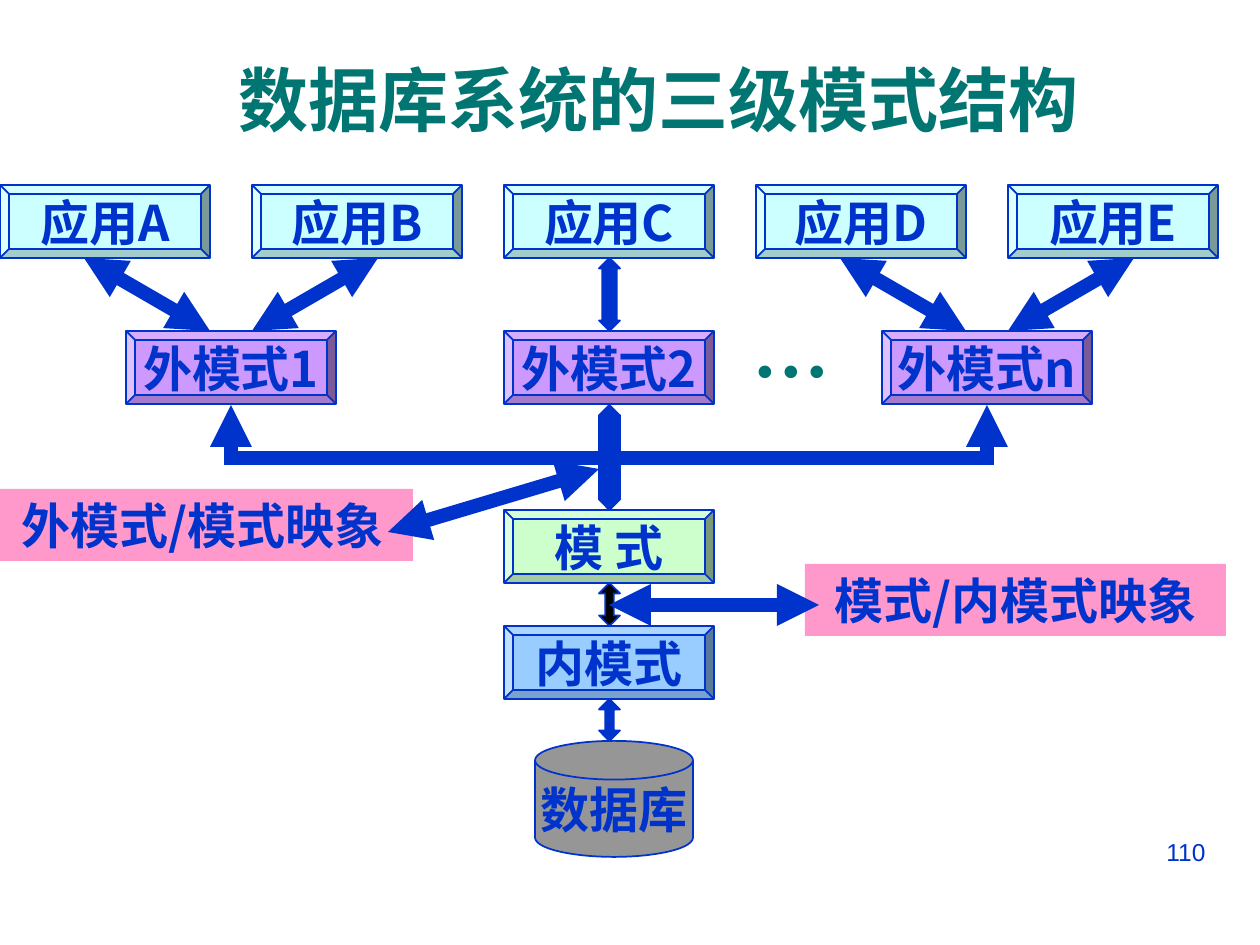
from lxml.etree import SubElement
from pptx import Presentation
from pptx.dml.color import RGBColor
from pptx.enum.shapes import MSO_CONNECTOR, MSO_SHAPE
from pptx.enum.text import MSO_ANCHOR, PP_ALIGN
from pptx.oxml.ns import qn
from pptx.util import Pt

EMU_PER_PX = 914400 // 126
BLUE, TEAL, PINK, BLACK = "0033CC", "007572", "FF99CC", "000000"
CJK = "Noto Sans CJK SC"
BOX_W, BOX_H, COLUMN_STEP = 210, 73, 252
AXIS = 609  # x of the central chain
APP_Y, EXTERNAL_Y, BUS_Y = 185, 331, 458


def px(length):
    return length * EMU_PER_PX


def color(code):
    return RGBColor.from_string(code)


def write(shape, words, size, font=CJK, ink=BLUE, bold=True,
          align=PP_ALIGN.CENTER, wrap=False):
    frame = shape.text_frame
    frame.text = words
    frame.word_wrap = wrap
    frame.vertical_anchor = MSO_ANCHOR.MIDDLE
    paragraph = frame.paragraphs[0]
    paragraph.alignment = align
    for run in paragraph.runs:
        run.font.size = Pt(size)
        run.font.bold = bold
        run.font.name = font
        run.font.color.rgb = color(ink)
        properties = run._r.get_or_add_rPr()
        properties.set("lang", "zh-CN")
        east_asian = SubElement(properties, qn("a:ea"))
        east_asian.set("typeface", CJK)


def add_label(slide, box, words, size, **style):
    label = slide.shapes.add_textbox(*map(px, box))
    write(label, words, size, **style)


def add_block(slide, kind, box, fill, outlined=True):
    block = slide.shapes.add_shape(kind, *map(px, box))
    block.shadow.inherit = False
    block.fill.solid()
    block.fill.fore_color.rgb = color(fill)
    if outlined:
        block.line.color.rgb = color(BLUE)
        block.line.width = Pt(1)
    else:
        block.line.fill.background()
    return block


def add_level(slide, x, y, words, fill):
    level = add_block(slide, MSO_SHAPE.BEVEL, (x, y, BOX_W, BOX_H), fill)
    write(level, words, 28)


def add_axis_arrow(slide, top, bottom, head, fill=BLUE):
    """Block arrow on the central axis; head is its length over its width."""
    width = 21
    arrow = add_block(slide, MSO_SHAPE.UP_DOWN_ARROW,
                      (AXIS - width // 2, top, width, bottom - top), fill)
    arrow.adjustments[0] = 0.5
    arrow.adjustments[1] = head


def add_line(slide, start, end, heads=(), square=False):
    """Thick line; heads lists the ends with an arrowhead."""
    line = slide.shapes.add_connector(
        MSO_CONNECTOR.STRAIGHT, *map(px, (*start, *end)))
    line.line.color.rgb = color(BLUE)
    line.line.width = Pt(8)
    outline = line.line._get_or_add_ln()
    if square:
        outline.set("cap", "sq")
    for head in heads:
        SubElement(outline, qn(f"a:{head}")).set("type", "triangle")
    SubElement(line._element.spPr, qn("a:effectLst"))


def add_applications(slide, x, y):
    for column, letter in enumerate("ABCDE"):
        add_level(slide, x + column * COLUMN_STEP, y, f"应用{letter}", "CCFFFF")


def add_external_schemas(slide, x, y):
    """External schemas, the links up to applications and the bus below."""
    for column, suffix in ((0, "1"), (1.5, "2"), (3, "n")):
        add_level(slide, x + int(column * COLUMN_STEP), y,
                  f"外模式{suffix}", "CC99FF")
    app_bottom = APP_Y + BOX_H
    for left in (x, x + 3 * COLUMN_STEP):
        middle = left + BOX_W // 2
        for side in (-1, 1):
            add_line(slide, (middle + side * 21, y),
                     (middle + side * 147, app_bottom), ("headEnd", "tailEnd"))
        add_line(slide, (middle, BUS_Y), (middle, y + BOX_H + 1),
                 ("tailEnd",), square=True)
        add_line(slide, (middle, BUS_Y), (AXIS, BUS_Y), square=True)
    add_axis_arrow(slide, app_bottom, y, 0.7)


def add_central_chain(slide, y):
    """Schema, internal schema and database, joined along the axis."""
    x = AXIS - BOX_W // 2
    internal_y, database_y = y + 116, y + 231
    add_level(slide, x, y, "模 式", "CCFFCC")
    add_level(slide, x, internal_y, "内模式", "99CCFF")
    database = add_block(slide, MSO_SHAPE.FLOWCHART_MAGNETIC_DISK,
                         (535, database_y, 158, 116), "969696")
    write(database, "数据库", 28)
    add_axis_arrow(slide, EXTERNAL_Y + BOX_H + 1, y, 1)
    add_axis_arrow(slide, y + BOX_H, internal_y, 0.4, BLACK)
    add_axis_arrow(slide, internal_y + BOX_H, database_y, 0.4)


def add_mapping(slide, x, y, words, start, end):
    mapping = add_block(slide, MSO_SHAPE.RECTANGLE, (x, y, 421, 72), PINK,
                        outlined=False)
    write(mapping, words, 28)
    add_line(slide, start, end, ("headEnd", "tailEnd"))


def main():
    deck = Presentation()
    deck.slide_width, deck.slide_height = px(1260), px(945)
    slide = deck.slides.add_slide(deck.slide_layouts[6])
    add_label(slide, (123, 35, 1071, 126), "数据库系统的三级模式结构", 40,
              font="Arial", ink=TEAL, wrap=True)
    add_applications(slide, 0, APP_Y)
    add_external_schemas(slide, 126, EXTERNAL_Y)
    add_central_chain(slide, 510)
    add_mapping(slide, -8, 489, "外模式/模式映象", (388, 532), (599, 469))
    add_mapping(slide, 805, 564, "模式/内模式映象", (AXIS, 605), (819, 605))
    add_label(slide, (740, 294, 102, 106), "…", 44,
              font="Times New Roman", ink=TEAL)
    add_label(slide, (903, 819, 315, 66), "110", 14, font="Arial",
              bold=False, align=PP_ALIGN.RIGHT, wrap=True)
    deck.save("out.pptx")


if __name__ == "__main__":
    main()
